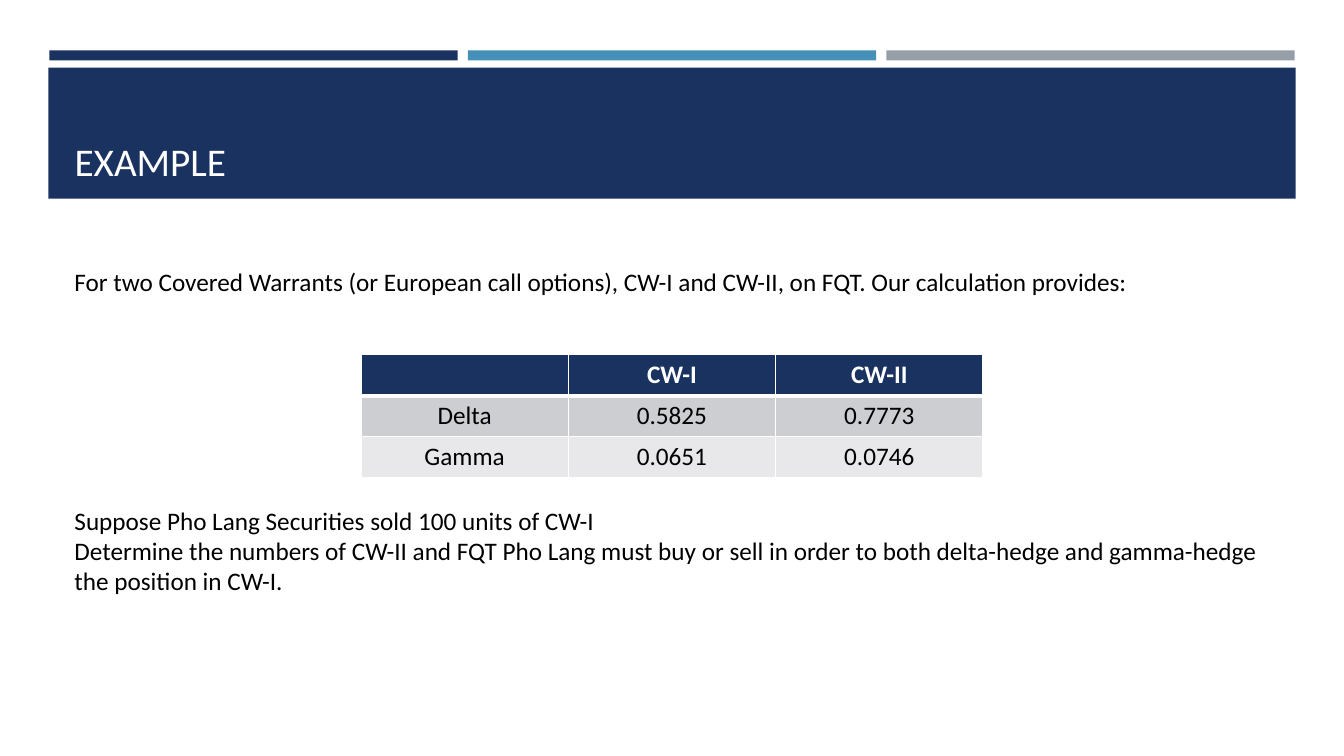
from lxml.etree import SubElement
from pptx import Presentation
from pptx.dml.color import RGBColor
from pptx.enum.shapes import MSO_SHAPE as Shape
from pptx.enum.text import MSO_ANCHOR as Anchor, MSO_AUTO_SIZE as AutoSize, PP_ALIGN as Align
from pptx.oxml.ns import qn
from pptx.util import Inches, Pt

COLORS = {
    "navy": "1A3260", "blue": "4590B8", "gray": "969FA7",
    "title": "FFFEFF", "white": "FFFFFF", "black": "000000",
    "band_dark": "CDCED2", "band_light": "E8E8EA",
}
FONT = "Calibri"
GREEKS = [
    ["", "CW-I", "CW-II"],
    ["Delta", "0.5825", "0.7773"],
    ["Gamma", "0.0651", "0.0746"],
]
ROW_FILLS = ["navy", "band_dark", "band_light"]
INTRO = [
    "For two Covered Warrants (or European call options), CW-I and CW-II, on FQT. "
    "Our calculation provides:",
]
QUESTION = [
    "Suppose Pho Lang Securities sold 100 units of CW-I",
    "Determine the numbers of CW-II and FQT Pho Lang must buy or sell in order to both "
    "delta-hedge and gamma-hedge the position in CW-I.",
]


def color(name):
    return RGBColor.from_string(COLORS[name])


def style_para(para, size, color_name, bold=False):
    for span in para.runs:
        span.font.name = FONT
        span.font.size = Pt(size)
        span.font.bold = bold
        span.font.color.rgb = color(color_name)


def add_block(page, left, top, width, height, fill):
    block = page.shapes.add_shape(
        Shape.RECTANGLE, Inches(left), Inches(top), Inches(width), Inches(height))
    block.shadow.inherit = False
    block.fill.solid()
    block.fill.fore_color.rgb = color(fill)
    block.line.fill.background()


def add_stripes(page, left, top, width, height, gap):
    fills = ["navy", "blue", "gray"]
    stripe = (width - gap * (len(fills) - 1)) / len(fills)
    for index, fill in enumerate(fills):
        add_block(page, left + index * (stripe + gap), top, stripe, height, fill)


def add_banner(page, left, top, width, height, text):
    add_block(page, left, top, width, height, "navy")
    title = page.shapes.title
    title.left, title.top = Inches(left + 0.16), Inches(top + 0.1)
    title.width, title.height = Inches(width - 0.31), Inches(height - 0.19)
    frame = title.text_frame
    frame.text = text
    frame.auto_size = AutoSize.NONE
    frame.vertical_anchor = Anchor.BOTTOM
    frame.paragraphs[0].alignment = Align.LEFT
    style_para(frame.paragraphs[0], 28, "title")
    page.shapes._spTree.append(title._element)


def add_text(page, left, top, width, height, lines):
    box = page.shapes.add_textbox(Inches(left), Inches(top), Inches(width), Inches(height))
    frame = box.text_frame
    frame.word_wrap = True
    frame.text = "\n".join(lines)
    for para in frame.paragraphs:
        style_para(para, 18, "black")


def set_borders(cell, widths):
    properties = cell._tc.get_or_add_tcPr()
    for index, (side, width) in enumerate(widths.items()):
        line = SubElement(properties, qn(f"a:ln{side}"), w=str(Pt(width)))
        fill = SubElement(line, qn("a:solidFill"))
        SubElement(fill, qn("a:srgbClr"), val=COLORS["white"])
        properties.insert(index, line)


def add_greeks_table(page, left, top, width, height):
    table = page.shapes.add_table(
        len(GREEKS), len(GREEKS[0]),
        Inches(left), Inches(top), Inches(width), Inches(height)).table
    for row, values in enumerate(GREEKS):
        header = row == 0
        for column, value in enumerate(values):
            cell = table.cell(row, column)
            cell.text = value
            cell.fill.solid()
            cell.fill.fore_color.rgb = color(ROW_FILLS[row])
            para = cell.text_frame.paragraphs[0]
            para.alignment = Align.CENTER
            para.font.size = Pt(18)
            style_para(para, 18, "white" if header else "black", header)
            set_borders(cell, {"L": 1, "R": 1, "T": 3 if row == 1 else 1, "B": 3 if header else 1})


def build_example_slide(deck):
    page = deck.slides.add_slide(deck.slide_layouts[5])
    add_stripes(page, 0.49, 0.5, 12.35, 0.1, 0.1)
    add_banner(page, 0.48, 0.67, 12.37, 1.3, "EXAMPLE")
    add_text(page, 0.64, 2.59, 12.22, 0.71, INTRO)
    add_greeks_table(page, 3.58, 3.52, 6.17, 1.22)
    add_text(page, 0.64, 4.96, 12.22, 1.01, QUESTION)


def main():
    deck = Presentation()
    deck.slide_width, deck.slide_height = Inches(13.33), Inches(7.5)
    build_example_slide(deck)
    deck.save("out.pptx")


if __name__ == "__main__":
    main()
